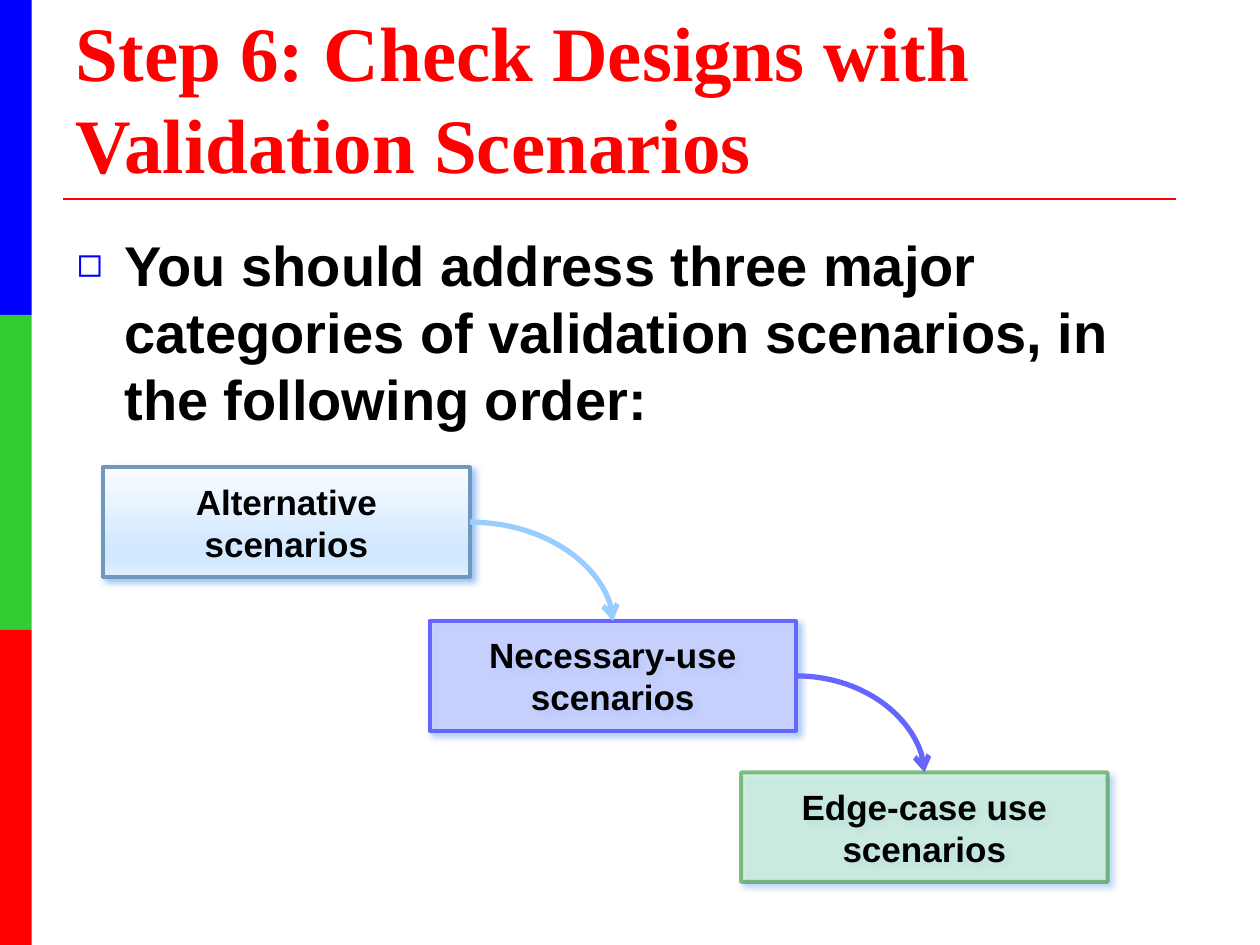
from dataclasses import dataclass

from lxml.etree import SubElement
from pptx import Presentation
from pptx.dml.color import RGBColor
from pptx.enum.shapes import MSO_CONNECTOR as Link, MSO_SHAPE as Preset
from pptx.enum.text import MSO_ANCHOR as Anchor, MSO_AUTO_SIZE as Fit, PP_ALIGN as Align
from pptx.oxml import parse_xml
from pptx.oxml.ns import nsdecls, qn
from pptx.util import Cm, Pt


@dataclass(frozen=True)
class Theme:
    """Colours, fonts and type sizes of the slide."""
    blue: str = "0000FF"
    green: str = "33CC33"
    red: str = "FF0000"
    ink: str = "000000"
    shadow: str = "0067E4"
    serif: str = "Times New Roman"
    sans: str = "Arial"
    title: int = 44
    body: int = 32
    label: int = 20


THEME = Theme()
RIGHT_SITE, TOP_SITE = 3, 0
SKY_STOPS = [(0, "FAFCFF"), (74, "D1E8FF"), (83, "D1E8FF"), (100, "E0F0FF")]
SCENARIOS = [
    ("Alternative scenarios", 2.08, 9.42, SKY_STOPS, "7197BD", 100),
    ("Necessary-use scenarios", 8.66, 12.52, "CCCCFF", "6666FF", 100),
    ("Edge-case use scenarios", 14.94, 15.57, "D2F4D2", "228922", 53),
]
ARROW_COLOURS = ["99CCFF", "6666FF"]


def add_span(para, text, font, size, colour):
    """Add one bold run to a paragraph."""
    span = para.add_run()
    span.text = text
    span.font.name = font
    span.font.size = Pt(size)
    span.font.bold = True
    span.font.color.rgb = RGBColor.from_string(colour)


def set_alpha(fill_parent, percent):
    """Make the solid fill below an element partly transparent."""
    colour = fill_parent.find(qn("a:solidFill"))[0]
    SubElement(colour, qn("a:alpha"), val=str(percent * 1000))


def add_bar(page, index, colour):
    """Add one third of the coloured strip on the left edge."""
    height = 6.35
    bar = page.shapes.add_shape(Preset.RECTANGLE, 0, Cm(index * height), Cm(0.64), Cm(height))
    bar.shadow.inherit = False
    bar.fill.solid()
    bar.fill.fore_color.rgb = RGBColor.from_string(colour)
    bar.line.fill.background()


def add_line(page, kind, ends, colour, width):
    """Add a connector without a shadow between two points."""
    line = page.shapes.add_connector(kind, *map(Cm, ends))
    line.line.color.rgb = RGBColor.from_string(colour)
    line.line.width = Pt(width)
    SubElement(line._element.spPr, qn("a:effectLst"))
    return line


def set_title(page, text):
    """Place and format the title placeholder."""
    title = page.shapes.title
    title.left, title.top, title.width, title.height = map(Cm, (1.27, 0.76, 22.86, 3.18))
    frame = title.text_frame
    frame.auto_size = Fit.NONE
    frame.vertical_anchor = Anchor.BOTTOM
    para = frame.paragraphs[0]
    para.alignment = Align.LEFT
    add_span(para, text, THEME.serif, THEME.title, THEME.red)


def add_body(page, text):
    """Add the bulleted statement below the title."""
    box = page.shapes.add_textbox(Cm(1.3), Cm(4.52), Cm(22.86), Cm(4.7))
    box.text_frame.word_wrap = True
    para = box.text_frame.paragraphs[0]
    props = para._p.get_or_add_pPr()
    props.set("marL", str(Cm(0.96)))
    props.set("indent", str(Cm(-0.96)))
    colour = SubElement(props, qn("a:buClr"))
    SubElement(colour, qn("a:srgbClr"), val=THEME.blue)
    SubElement(props, qn("a:buSzPct"), val="75000")
    SubElement(props, qn("a:buFont"), typeface=THEME.sans)
    SubElement(props, qn("a:buChar"), char="◻")
    add_span(para, text, THEME.sans, THEME.body, THEME.ink)


def fill_box(box, fill):
    """Fill a box with a translucent colour or a vertical gradient."""
    box.fill.solid()
    if isinstance(fill, str):
        box.fill.fore_color.rgb = RGBColor.from_string(fill)
        set_alpha(box._element.spPr, 63)
        return
    stops = "".join(f'<a:gs pos="{place * 1000}"><a:srgbClr val="{colour}"/></a:gs>'
                    for place, colour in fill)
    gradient = parse_xml(f'<a:gradFill {nsdecls("a")} rotWithShape="1"><a:gsLst>{stops}</a:gsLst>'
                         '<a:lin ang="5400000" scaled="0"/></a:gradFill>')
    props = box._element.spPr
    props.replace(props.find(qn("a:solidFill")), gradient)


def add_shadow(box):
    """Give a box a soft shadow towards the lower right."""
    box.shadow.inherit = False
    effects = box._element.spPr.find(qn("a:effectLst"))
    outer = SubElement(effects, qn("a:outerShdw"), blurRad=str(Pt(4)), dist=str(Pt(3)),
                       dir="2700000", algn="tl", rotWithShape="0")
    colour = SubElement(outer, qn("a:srgbClr"), val=THEME.shadow)
    SubElement(colour, qn("a:alpha"), val="40000")


def add_scenario(page, text, left, top, fill, edge, edge_alpha):
    """Add one labelled scenario box."""
    box = page.shapes.add_shape(Preset.RECTANGLE, Cm(left), Cm(top), Cm(7.39), Cm(2.21))
    fill_box(box, fill)
    box.line.color.rgb = RGBColor.from_string(edge)
    box.line.width = Pt(2.25)
    if edge_alpha < 100:
        set_alpha(box.line._get_or_add_ln(), edge_alpha)
    add_shadow(box)
    box.text_frame.word_wrap = True
    box.text_frame.vertical_anchor = Anchor.MIDDLE
    para = box.text_frame.paragraphs[0]
    para.alignment = Align.CENTER
    add_span(para, text, THEME.sans, THEME.label, THEME.ink)
    return box


def add_arrow(page, start, end, colour):
    """Curve an arrow from the right of one box to the top of the next."""
    arrow = add_line(page, Link.CURVE, (0, 0, 1, 1), colour, 3)
    arrow.begin_connect(start, RIGHT_SITE)
    arrow.end_connect(end, TOP_SITE)
    arrow._element.spPr.find(qn("a:prstGeom")).set("prst", "curvedConnector2")
    SubElement(arrow.line._get_or_add_ln(), qn("a:tailEnd"), type="arrow")


def main():
    """Build the slide and save the deck."""
    deck = Presentation()
    deck.slide_width, deck.slide_height = Cm(25.4), Cm(19.05)
    page = deck.slides.add_slide(deck.slide_layouts[5])
    for index, colour in enumerate((THEME.blue, THEME.green, THEME.red)):
        add_bar(page, index, colour)
    add_line(page, Link.STRAIGHT, (1.27, 4.01, 23.7, 4.01), THEME.red, 1.5)
    set_title(page, "Step 6: Check Designs with Validation Scenarios")
    add_body(page, "You should address three major categories of validation scenarios, "
                   "in the following order:")
    boxes = [add_scenario(page, *scenario) for scenario in SCENARIOS]
    for start, end, colour in zip(boxes, boxes[1:], ARROW_COLOURS):
        add_arrow(page, start, end, colour)
    deck.save("out.pptx")


if __name__ == "__main__":
    main()
